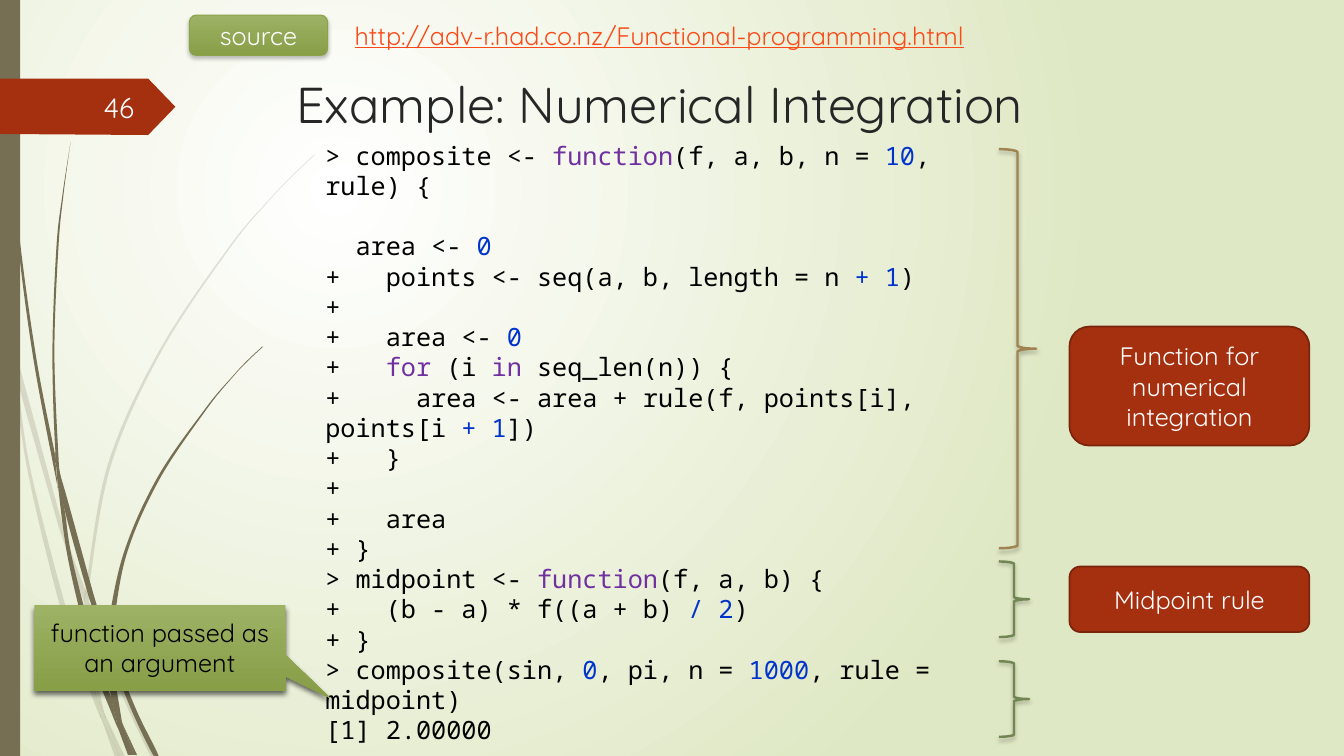
from dataclasses import dataclass
from typing import Any, Optional
from lxml import etree
from pptx import Presentation, util as u
from pptx.dml import color as dml
from pptx.enum import shapes as kinds, text as txt
from pptx.oxml import ns

ROWS = 750
CELL = u.Inches(0.01)
SANS, MONO = "Quicksand", "Noto Sans Mono"
HUES = {
    "white": "FFFFFF", "black": "000000", "pale": "DFE8C4", "stem": "766F54",
    "red": "A53010", "rust": "7A240C", "ink": "262626", "link": "FB4A18",
    "leaf": "9DB265", "moss": "889E47", "rim": "8BA249", "tan": "9F8351",
    "sage": "728653", "word": "7030A0", "num": "0033CC", "page": "FEFFFF",
}
KIND, ALIGN, MID = kinds.MSO_SHAPE, txt.PP_ALIGN, txt.MSO_ANCHOR.MIDDLE
Point = tuple[int, int]

@dataclass
class Box:
    col: int
    row: int
    wide: int
    high: int

    def place(self) -> tuple[int, ...]:
        return tuple(n * CELL for n in (self.col, self.row, self.wide, self.high))

@dataclass
class Part:
    kind: Any
    box: Box
    fill: tuple[str, ...] = ()
    line: Optional[str] = None
    thick: float = 1.25
    shade: Optional[tuple[int, int, int]] = None
    words: str = ""
    hue: str = "white"

@dataclass
class Blade:
    front: list[Point]
    back: list[Point]

SOFT, DEEP = (25, 3, 2), (60, 4, 3)
GREEN = ("leaf", "moss")
FAINT = [
    Blade([(11, 350), (9, 322), (0, 282)], [(0, 299), (10, 344), (11, 350)]),
    Blade([(58, 522), (84, 599)], [(85, 586), (62, 520), (14, 345), (17, 376), (58, 522)]),
    Blade([(92, 607), (88, 596)], [(88, 610), (123, 694), (150, 751), (155, 751), (127, 692), (92, 607)]),
    Blade([(119, 751), (124, 751)], [(105, 711), (119, 751)]),
    Blade([(93, 683), (70, 619), (31, 469), (17, 376), (11, 350)],
          [(11, 350), (28, 470), (65, 621), (92, 693), (101, 714), (99, 707), (93, 683)]),
    Blade([(84, 599), (87, 646), (93, 683), (96, 692), (105, 711)],
          [(105, 711), (103, 706), (91, 646), (88, 610), (88, 608), (84, 599)]),
    Blade([(88, 584), (110, 462), (160, 349), (229, 245), (268, 198), (290, 175), (312, 154)],
          [(312, 153), (289, 175), (268, 197), (228, 244), (158, 348), (107, 461), (85, 584), (85, 586), (88, 596)]),
    Blade([(101, 714), (114, 751)], [(119, 751), (101, 714)]),
    Blade([(88, 608), (88, 610)], [(88, 596), (85, 586), (84, 599), (88, 608)]),
    Blade([(96, 692), (93, 683), (99, 707), (101, 714), (119, 751)], [(119, 751), (105, 711), (96, 692)]),
]
BOLD = [
    Blade([(7, 110), (17, 233), (33, 355), (56, 477), (57, 481)],
          [(55, 457), (55, 453), (36, 355), (19, 232), (8, 109), (5, 48), (4, 0), (3, 0), (4, 48), (7, 110)]),
    Blade([(88, 592), (106, 645)], [(106, 633), (106, 631), (93, 590), (60, 472), (64, 505), (88, 592)]),
    Blade([(113, 649), (110, 641)], [(111, 656), (132, 708), (152, 749), (157, 749), (136, 706), (113, 649)]),
    Blade([(110, 691), (98, 657), (72, 556), (64, 505), (57, 477)],
          [(57, 477), (68, 557), (93, 659), (111, 708), (117, 722), (116, 717), (110, 691)]),
    Blade([(60, 472), (58, 453), (54, 349), (58, 245), (63, 193), (70, 141)],
          [(70, 141), (62, 193), (56, 245), (52, 349), (55, 449), (60, 472)]),
    Blade([(133, 749), (136, 749)], [(122, 719), (133, 749)]),
    Blade([(57, 477), (64, 505)], [(60, 472), (55, 449), (55, 453), (57, 477)]),
    Blade([(111, 633), (125, 552), (158, 476), (205, 406), (231, 374), (245, 359), (261, 344)],
          [(260, 344), (245, 358), (231, 373), (204, 405), (156, 474), (122, 551), (106, 631), (110, 641), (111, 633)]),
    Blade([(117, 722), (127, 749)], [(131, 749), (117, 722)]),
    Blade([(106, 645), (110, 691), (116, 706), (122, 719)], [(121, 716), (111, 656), (109, 651), (106, 645)]),
    Blade([(106, 645), (109, 651), (111, 656)], [(110, 641), (106, 631), (106, 633), (106, 645)]),
    Blade([(116, 706), (110, 691), (116, 717), (117, 722), (130, 749)], [(133, 749), (122, 719), (116, 706)]),
]
FLAG = Blade([(0, 78), (147, 78)], [(174, 106), (147, 134), (0, 133)])
PARTS = [
    Part(KIND.RIGHT_BRACE, Box(991, 148, 37, 396), line="tan", thick=1.75, shade=SOFT),
    Part(KIND.ROUNDED_RECTANGLE, Box(1061, 324, 238, 118), ("red",), "rust", words="Function for numerical integration"),
    Part(KIND.RIGHT_BRACE, Box(991, 557, 30, 75), line="sage", thick=1.75, shade=SOFT),
    Part(KIND.ROUNDED_RECTANGLE, Box(188, 15, 137, 40), GREEN, "rim", 0.75, SOFT, "source"),
    Part(KIND.ROUNDED_RECTANGLE, Box(1061, 562, 238, 65), ("red",), "rust", words="Midpoint rule"),
    Part(KIND.RIGHT_BRACE, Box(991, 656, 30, 75), line="sage", thick=1.75, shade=SOFT),
    Part(KIND.RECTANGULAR_CALLOUT, Box(34, 600, 249, 85), GREEN, shade=DEEP,
         words="function passed as an argument", hue="black"),
]
CODE = """> composite <- `function`(f, a, b, n = `10`, rule) {

  area <- `0`
+   points <- seq(a, b, length = n `+ 1`)
+
+   area <- `0`
+   `for` (i `in `seq_len(n)) {
+     area <- area + rule(f, points[i], points[i `+ 1`])
+   }
+
+   area
+ }
> midpoint <- `function`(f, a, b) {
+   (b - a) * f((a + b) `/ 2`)
+ }
> composite(sin, `0`, pi, n = `1000`, rule = midpoint)
[1] 2.00000"""

def tint(name: str) -> dml.RGBColor:
    return dml.RGBColor.from_string(HUES[name])

def style(font: Any, size: int, hue: str, face: str = SANS) -> None:
    font.size, font.name = u.Pt(size), face
    font.color.rgb = tint(hue)

def write(frame: Any, words: str, size: int, hue: str, align: Any) -> Any:
    frame.text = words
    para = frame.paragraphs[0]
    para.alignment = align
    style(para.runs[0].font, size, hue)
    return para.runs[0]

def blend(fill: Any, hues: tuple[str, ...]) -> None:
    fill.gradient()
    for stop, hue in zip(fill.gradient_stops, hues):
        stop.color.rgb = tint(hue)

def cast(shape: Any, shade: tuple[int, int, int]) -> None:
    alpha, blur, dist = shade
    glow = shape.element.spPr.find(ns.qn("a:effectLst"))
    drop = etree.SubElement(glow, ns.qn("a:outerShdw"), blurRad=str(u.Pt(blur)),
                            dist=str(u.Pt(dist)), dir="5400000", rotWithShape="0")
    tone = etree.SubElement(drop, ns.qn("a:srgbClr"), val=HUES["black"])
    etree.SubElement(tone, ns.qn("a:alpha"), val=str(alpha * 1000))

def draw(slide: Any, part: Part) -> Any:
    shape = slide.shapes.add_shape(part.kind, *part.box.place())
    shape.shadow.inherit = False
    if len(part.fill) > 1:
        blend(shape.fill, part.fill)
        shape.fill.gradient_angle = 270
    elif part.fill:
        shape.fill.solid()
        shape.fill.fore_color.rgb = tint(part.fill[0])
    else:
        shape.fill.background()
    if part.line:
        shape.line.color.rgb = tint(part.line)
        shape.line.width = u.Pt(part.thick)
    else:
        shape.line.fill.background()
    if part.shade:
        cast(shape, part.shade)
    if part.words:
        shape.text_frame.vertical_anchor = MID
        write(shape.text_frame, part.words, 18, part.hue, ALIGN.CENTER)
    return shape

def bend(shape: Any, blade: Blade) -> None:
    legs = shape.element.findall(".//" + ns.qn("a:lnTo"))
    left, top = (min(axis) for axis in zip(*blade.front, *blade.back))
    for edge, skip in ((blade.front, 0), (blade.back, len(blade.front))):
        ends = [edge[0], *edge, edge[-1]]
        for i, (a, b, c, d) in enumerate(zip(ends, ends[1:], ends[2:], ends[3:])):
            leg = legs[skip + i]
            leg.tag = ns.qn("a:cubicBezTo")
            for j, (p, q, r) in enumerate(((b, c, a), (c, b, d))):
                x, y = (m + (n - o) / 6 for m, n, o in zip(p, q, r))
                leg.insert(j, leg.makeelement(ns.qn("a:pt"), {
                    "x": str(round((x - left) * CELL)), "y": str(round((y - top) * CELL))}))

def grow(slide: Any, blade: Blade, hue: str = "stem", faint: bool = False) -> Any:
    dots = [(x * CELL, y * CELL) for x, y in blade.front + blade.back]
    pen = slide.shapes.build_freeform(*dots[0])
    pen.add_line_segments(dots[1:], close=True)
    shape = pen.convert_to_shape()
    shape.shadow.inherit = False
    shape.fill.solid()
    shape.fill.fore_color.rgb = tint(hue)
    shape.line.fill.background()
    if faint:
        tone = shape.element.spPr.find(".//" + ns.qn("a:srgbClr"))
        etree.SubElement(tone, ns.qn("a:alpha"), val="20000")
    return shape

def label(slide: Any, box: Box, wrap: bool = True) -> Any:
    frame = slide.shapes.add_textbox(*box.place()).text_frame
    frame.word_wrap = wrap
    return frame

def listing(frame: Any) -> None:
    for i, row in enumerate(CODE.split("\n")):
        para = frame.add_paragraph() if i else frame.paragraphs[0]
        style(para.font, 18, "black", MONO)
        for j, bit in enumerate(row.split("`")):
            if bit:
                run = para.add_run()
                run.text = bit
                hue = ("word" if bit[0].isalpha() else "num") if j % 2 else "black"
                style(run.font, 18, hue, MONO)

def paint(slide: Any) -> None:
    blend(slide.background.fill, ("white", "pale"))
    grad = slide.element.find(".//" + ns.qn("a:gradFill"))
    grad.remove(grad.find(ns.qn("a:lin")))
    ring = etree.SubElement(grad, ns.qn("a:path"), {"path": "circle"})
    etree.SubElement(ring, ns.qn("a:fillToRect"), l="50000", t="50000", r="100000", b="100000")

def main() -> None:
    deck = Presentation()
    deck.slide_width, deck.slide_height = ROWS * CELL * 16 // 9, ROWS * CELL
    slide = deck.slides.add_slide(deck.slide_layouts[5])
    paint(slide)
    for blade in FAINT + BOLD:
        bend(grow(slide, blade, faint=blade in FAINT), blade)
    draw(slide, Part(KIND.RECTANGLE, Box(0, 0, 20, ROWS), ("stem",)))
    grow(slide, FLAG, "red")
    title = slide.shapes.title
    title.left, title.top, title.width, title.height = Box(284, 68, 975, 140).place()
    title.text_frame.vertical_anchor = txt.MSO_ANCHOR.TOP
    write(title.text_frame, "Example: Numerical Integration", 36, "ink", ALIGN.LEFT)
    listing(label(slide, Box(313, 134, 667, 616)))
    link = write(label(slide, Box(342, 15, 668, 40), False),
                 "http://adv-r.had.co.nz/Functional-programming.html", 18, "link", ALIGN.LEFT)
    link.font.underline = True
    for part in PARTS:
        shape = draw(slide, part)
        if part.kind == KIND.RECTANGULAR_CALLOUT:
            shape.adjustments[0], shape.adjustments[1] = 0.68, 0.59
    page = label(slide, Box(58, 86, 85, 40))
    page.vertical_anchor = MID
    write(page, "46", 20, "page", ALIGN.RIGHT)
    deck.save("out.pptx")

if __name__ == "__main__":
    main()
